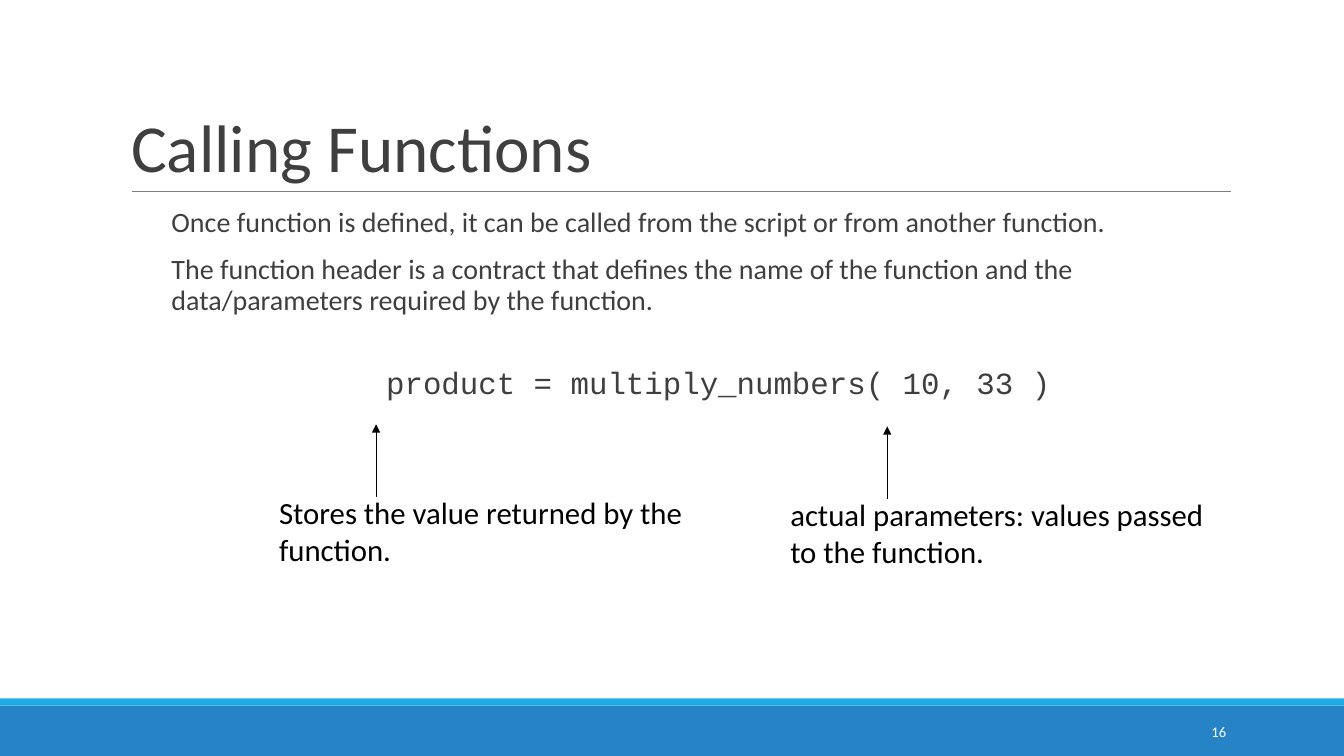
from pptx import Presentation
from pptx.dml.color import RGBColor as RGB
from pptx.enum.shapes import MSO_CONNECTOR as Conn, MSO_SHAPE as Shape
from pptx.enum.text import MSO_ANCHOR as Anchor, MSO_AUTO_SIZE as Auto, PP_ALIGN as Align
from pptx.oxml.ns import qn
from pptx.util import Inches, Pt
from lxml import etree

BLUE = RGB(0x26, 0x83, 0xC6)
CYAN = RGB(0x1C, 0xAD, 0xE4)
GREY = RGB(0x7F, 0x7F, 0x7F)
DARK = RGB(0x3F, 0x3F, 0x3F)
BLACK = RGB(0, 0, 0)
WHITE = RGB(0xFF, 0xFF, 0xFF)

WIDE = 13.33
# Text, size, font, left indent in inches, space before in points
BODY = [
    ("Once function is defined, it can be called from the script "
     "or from another function.", 20, "Calibri", 0.5, 12),
    ("The function header is a contract that defines the name of the function "
     "and the data/parameters required by the function.", 20, "Calibri", 0.5, 12),
    ("product = multiply_numbers( 10, 33 )", 22, "Courier New", 2.63, 37),
]
# Text, left, top
NOTES = [
    ("actual parameters: values passed to the function.", 7.74, 4.87),
    ("Stores the value returned by the function.", 2.67, 4.85),
]


def place(shape, x, y, w, h):
    shape.left, shape.top = Inches(x), Inches(y)
    shape.width, shape.height = Inches(w), Inches(h)


def style(para, size, color, font="Calibri", align=Align.LEFT):
    para.alignment = align
    for run in para.runs:
        run.font.size = Pt(size)
        run.font.name = font
        run.font.color.rgb = color


def add_bar(slide, y, h, color):
    bar = slide.shapes.add_shape(Shape.RECTANGLE, 0, Inches(y), Inches(WIDE), Inches(h))
    bar.shadow.inherit = False
    bar.fill.solid()
    bar.fill.fore_color.rgb = color
    bar.line.fill.background()


def add_line(slide, x1, y1, x2, y2, color, arrow=False):
    line = slide.shapes.add_connector(
        Conn.STRAIGHT, Inches(x1), Inches(y1), Inches(x2), Inches(y2))
    line.line.color.rgb = color
    line.line.width = Pt(0.75)
    props = line._element.spPr
    if arrow:
        etree.SubElement(props.find(qn("a:ln")), qn("a:tailEnd"), type="triangle")
    etree.SubElement(props, qn("a:effectLst"))


def add_text(slide, text, x, y, w, h, size, color, align=Align.LEFT, anchor=Anchor.TOP):
    box = slide.shapes.add_textbox(Inches(x), Inches(y), Inches(w), Inches(h))
    frame = box.text_frame
    frame.word_wrap = True
    frame.vertical_anchor = anchor
    frame.text = text
    style(frame.paragraphs[0], size, color, align=align)


def fill_title(slide):
    title = slide.shapes.title
    place(title, 1.2, 0.31, 11, 1.59)
    frame = title.text_frame
    frame.text = "Calling Functions"
    frame.auto_size = Auto.NONE
    frame.vertical_anchor = Anchor.BOTTOM
    para = frame.paragraphs[0]
    para.line_spacing = 0.85
    style(para, 48, DARK)


def fill_body(slide):
    body = slide.placeholders[1]
    place(body, 1.2, 2.02, 11, 4.4)
    frame = body.text_frame
    frame.auto_size = Auto.NONE
    frame.margin_left = frame.margin_right = 0
    frame.text = "\n".join(row[0] for row in BODY)
    for para, (_, size, font, left, gap) in zip(frame.paragraphs, BODY):
        para.line_spacing = 0.9
        para.space_before = Pt(gap)
        style(para, size, DARK, font)
        # Indented without a bullet
        props = para._p.get_or_add_pPr()
        props.set("marL", str(Inches(left)))
        props.set("indent", "0")
        etree.SubElement(props, qn("a:buNone"))


def main():
    prs = Presentation()
    prs.slide_width, prs.slide_height = Inches(WIDE), Inches(7.5)
    slide = prs.slides.add_slide(prs.slide_layouts[1])

    # Footer bars and title rule
    add_bar(slide, 7, 0.5, BLUE)
    add_bar(slide, 6.93, 0.07, CYAN)
    add_line(slide, 1.31, 1.9, 12.21, 1.9, GREY)

    # Title, body and page number
    fill_title(slide)
    fill_body(slide)
    add_text(slide, "16", 10.83, 7.06, 1.43, 0.4, 10.5, WHITE, Align.RIGHT, Anchor.MIDDLE)

    # Notes, each with an arrow up to the code
    for text, x, y in NOTES:
        add_text(slide, text, x, y, 4.46, 0.84, 22, BLACK)
        add_line(slide, x + 1.06, y + 0.08, x + 1.06, y - 0.64, BLACK, arrow=True)

    prs.save("out.pptx")


if __name__ == "__main__":
    main()
